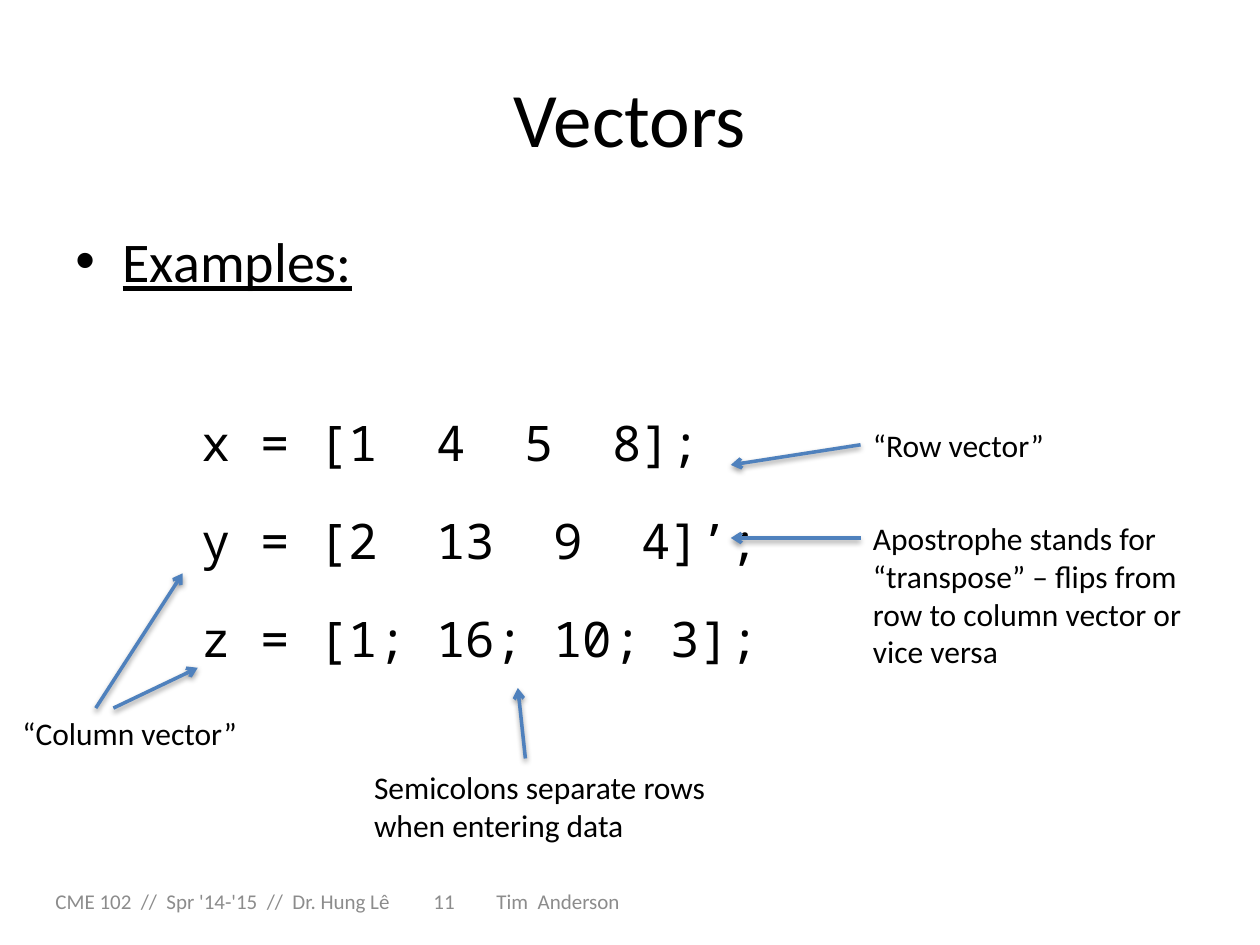
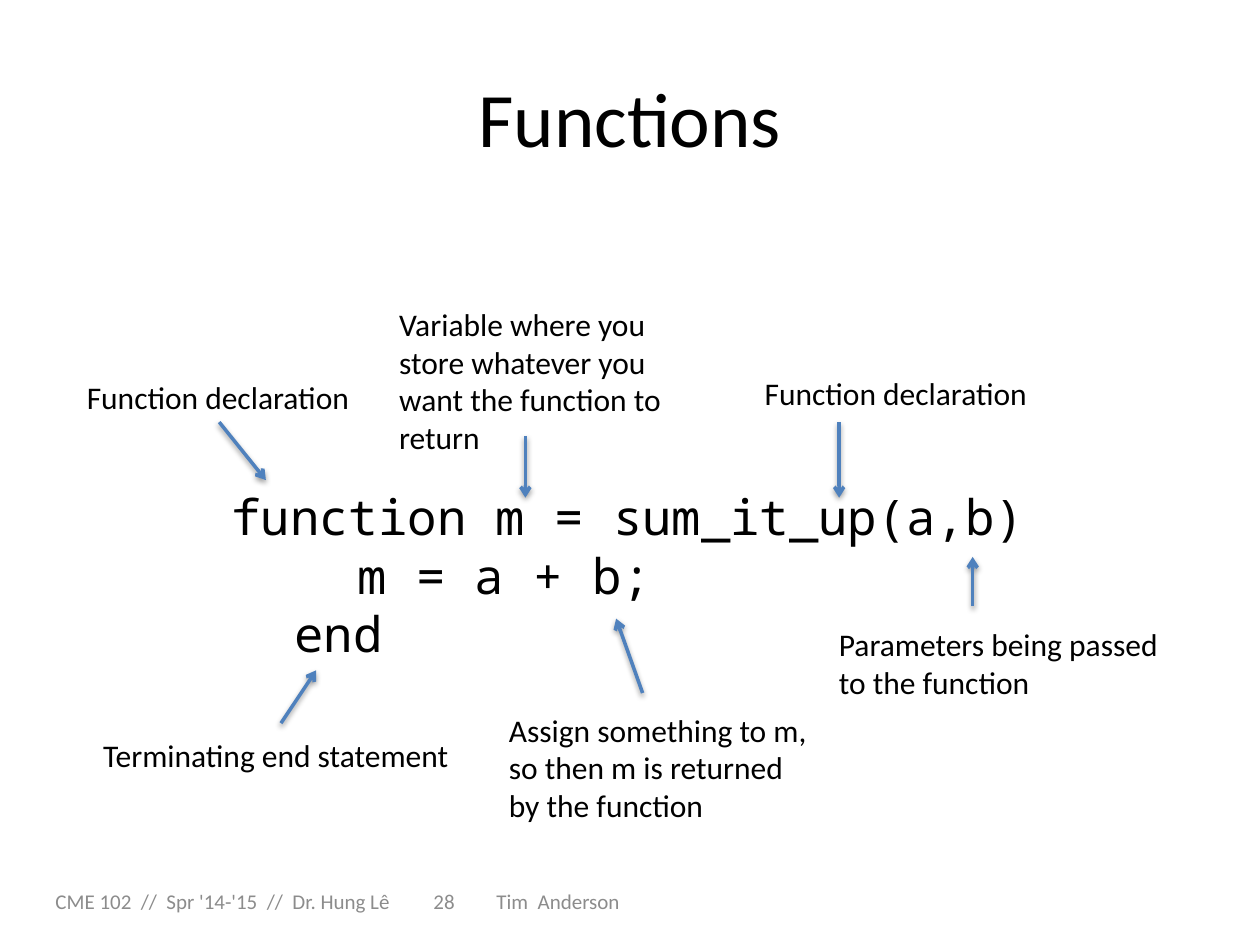
"""Build two annotated code slides, Vectors and Functions."""
from lxml.etree import SubElement
from pptx import Presentation
from pptx.dml.color import RGBColor
from pptx.enum.shapes import MSO_CONNECTOR
from pptx.enum.text import MSO_ANCHOR, PP_ALIGN
from pptx.oxml import parse_xml
from pptx.oxml.ns import nsdecls, qn
from pptx.util import Inches, Pt

deck = Presentation()
deck.slide_width, deck.slide_height = Inches(10), Inches(7.5)
col, row = deck.slide_width / 100, deck.slide_height / 75
hue = RGBColor.from_string
INK, GREY, BLUE = "000000", "8C8C8C", "4F81BD"
SANS, MONO = "Calibri", "Noto Sans Mono"
SHADE = (
    f'<a:effectLst {nsdecls("a")}><a:outerShdw blurRad="40000" dist="20000" '
    'dir="5400000" rotWithShape="0"><a:srgbClr val="000000">'
    '<a:alpha val="38000"/></a:srgbClr></a:outerShdw></a:effectLst>'
)


def frame(page, left, top, wide, tall, anchor=MSO_ANCHOR.TOP, wrap=True):
    """Add an empty text box measured in grid cells."""
    box = page.shapes.add_textbox(
        int(left * col), int(top * row), int(wide * col), int(tall * row))
    text = box.text_frame
    text.word_wrap, text.vertical_anchor = wrap, anchor
    return text


def write(block, text, size=18, font=SANS, ink=INK, align=PP_ALIGN.LEFT,
          indent=0, bullet=None, line=False, pitch=None, above=0, below=0,
          stops=()):
    """Append one formatted paragraph to a text frame."""
    first = block.paragraphs[0]
    para = block.add_paragraph() if first.runs else first
    para.alignment, para.line_spacing = align, pitch
    para.space_before, para.space_after = Pt(above), Pt(below)
    run = para.add_run()
    run.text = text
    run.font.size, run.font.name, run.font.underline = Pt(size), font, line
    run.font.color.rgb = hue(ink)
    props = para._p.get_or_add_pPr()
    props.set("marL", str(int(indent * col)))
    props.set("indent", str(int(-indent * col) if bullet else 0))
    if bullet:
        SubElement(props, qn("a:buFont"), typeface="Arial")
        SubElement(props, qn("a:buChar"), char=bullet)
    if stops:
        tabs = SubElement(props, qn("a:tabLst"))
        for place, side in stops:
            SubElement(tabs, qn("a:tab"), pos=str(int(place * col)), algn=side)


step = dict(size=28, font=MONO)
wide = dict(step, indent=10, pitch=1.5, above=5.6)
pages = [
    dict(
        title="Vectors", number=11, body=(5, 17.5, 90, 49.5),
        lines=[
            ("Examples:", dict(size=32, indent=3.75, bullet="•", line=True,
                               above=6.4, below=45.5)),
            ("x = [1  4  5  8];", wide),
            ("y = [2  13  9  4]’;", wide),
            ("z = [1; 16; 10; 3];", wide),
        ],
        notes=[
            (68.3, 33.3, 15.7, 1, "“Row vector”"),
            (0.8, 56.2, 19.1, 1, "“Column vector”"),
            (28.7, 60.5, 31.2, 2, "Semicolons separate rows when entering data"),
            (68.3, 40.7, 29.1, 4, "Apostrophe stands for “transpose” – flips "
                                  "from row to column vector or vice versa"),
        ],
        links=[
            (68.3, 35.3, 58, 36.9), (7.6, 56.2, 14.5, 45.5),
            (9, 56.2, 15.7, 53), (41.7, 60.2, 41.1, 54.6),
            (68.3, 42.7, 58, 42.7),
        ],
    ),
    dict(
        title="Functions", number=28, body=(17.4, 38.1, 65.4, 15.1),
        lines=[
            ("function m = sum_it_up(a,b)", step),
            ("m = a + b;", dict(step, indent=10)),
            ("end", dict(step, indent=5)),
        ],
        notes=[
            (5.9, 29.5, 23.1, 1, "Function declaration"),
            (30.7, 23.7, 24.4, 4, "Variable where you store whatever you want "
                                  "the function to return"),
            (59.7, 29.2, 23.1, 1, "Function declaration"),
            (7.2, 57.9, 30.1, 1, "Terminating end statement"),
            (39.4, 55.9, 26.2, 3, "Assign something to m, so then m is "
                                  "returned by the function"),
            (65.6, 49.1, 27.7, 2, "Parameters being passed to the function"),
        ],
        links=[
            (17.4, 33.5, 21.1, 38.1), (41.7, 34.6, 41.7, 39.5),
            (22.3, 57.4, 25.1, 53.2), (51, 55, 48.9, 49.1),
            (66.6, 33.5, 66.6, 39.5), (77.2, 48.1, 77.2, 44.2),
        ],
    ),
]

for plan in pages:
    page = deck.slides.add_slide(deck.slide_layouts[6])
    head = frame(page, 5, 3, 90, 12.5, MSO_ANCHOR.MIDDLE)
    write(head, plan["title"], size=44, align=PP_ALIGN.CENTER)

    body = frame(page, *plan["body"])
    for text, form in plan["lines"]:
        write(body, text, **form)

    foot = frame(page, 2, 69.5, 95.2, 4, MSO_ANCHOR.MIDDLE)
    foot.margin_left = int(2.4 * col)
    write(foot, f"CME 102  //  Spr '14-'15  //  Dr. Hung Lê\t{plan['number']}"
                "\tTim  Anderson",
          size=12, ink=GREY, stops=[(45.8, "ctr"), (90.4, "r")])

    for left, top, span, rows, text in plan["notes"]:
        note = frame(page, left, top, span, 1 + 3 * rows, wrap=rows > 1)
        write(note, text)

    for x1, y1, x2, y2 in plan["links"]:
        link = page.shapes.add_connector(
            MSO_CONNECTOR.STRAIGHT, int(x1 * col), int(y1 * row),
            int(x2 * col), int(y2 * row))
        link.line.color.rgb, link.line.width = hue(BLUE), Pt(2)
        SubElement(link.line._get_or_add_ln(), qn("a:tailEnd"), type="arrow")
        link._element.spPr.append(parse_xml(SHADE))

deck.save("out.pptx")
